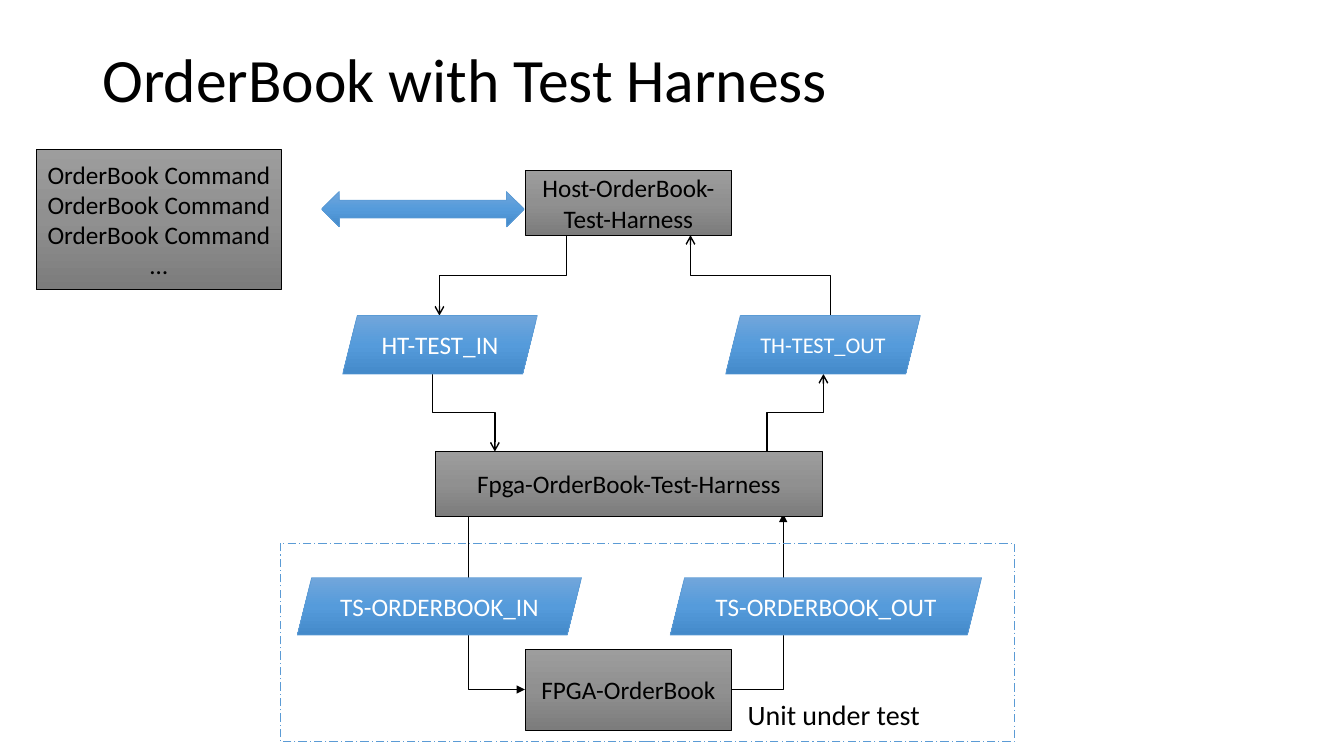
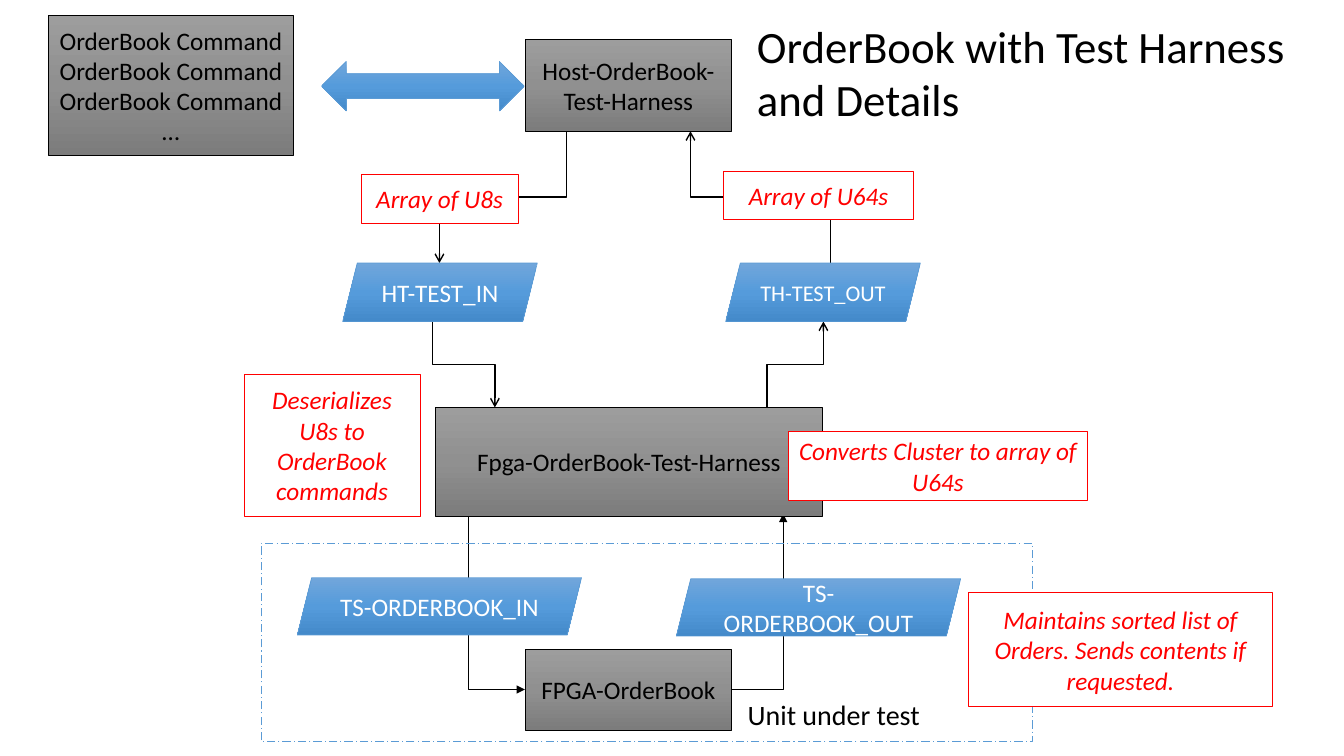
from copy import deepcopy

from lxml.etree import SubElement
from pptx import Presentation
from pptx.dml.color import RGBColor
from pptx.enum.dml import MSO_LINE
from pptx.enum.shapes import MSO_CONNECTOR, MSO_SHAPE
from pptx.enum.text import MSO_ANCHOR, MSO_AUTO_SIZE, PP_ALIGN
from pptx.oxml.ns import qn
from pptx.util import Pt

COLORS = {"black": "000000", "white": "FFFFFF", "blue": "5B9BD5", "red": "FF0000"}
GRADIENTS = {
    "gray": ("9D9D9D", "909090", "7C7C7C"),
    "blue": ("71A6DB", "559BDB", "448ACA"),
}
# Box styles: fill, line colour, text colour, italic
STYLES = {
    "module": ("gray", "black", "black", False),
    "queue": ("blue", "blue", "white", False),
    "note": ("white", "red", "red", True),
    "frame": (None, "blue", "black", False),
}
FONT = "Calibri"


def add_box(slide, preset, style, bounds, text="", size=18):
    fill_name, line_name, text_name, italic = STYLES[style]
    box = slide.shapes.add_shape(preset, *[Pt(v) for v in bounds])
    box.shadow.inherit = False
    box.line.color.rgb = RGBColor.from_string(COLORS[line_name])
    box.line.width = Pt(0.5)
    if fill_name in GRADIENTS:
        box.fill.gradient()
        box.fill.gradient_angle = 270
        stop_list = box._element.spPr.find(qn("a:gradFill")).find(qn("a:gsLst"))
        stop_list.append(deepcopy(stop_list[-1]))
        for stop, position, color in zip(box.fill.gradient_stops, (0, 0.5, 1), GRADIENTS[fill_name]):
            stop.position = position
            stop.color.rgb = RGBColor.from_string(color)
    elif fill_name:
        box.fill.solid()
        box.fill.fore_color.rgb = RGBColor.from_string(COLORS[fill_name])
    else:
        box.fill.background()
    if text:
        frame = box.text_frame
        frame.text = text
        frame.word_wrap = True
        frame.vertical_anchor = MSO_ANCHOR.MIDDLE
        for paragraph in frame.paragraphs:
            paragraph.alignment = PP_ALIGN.CENTER
            paragraph.font.name = FONT
            paragraph.font.size = Pt(size)
            paragraph.font.italic = italic
            paragraph.font.color.rgb = RGBColor.from_string(COLORS[text_name])
    return box


def add_flow(slide, start, end, preset, vertical_first, weight, head):
    (x1, y1), (x2, y2) = start, end
    ends = (x1, y1, x2, y2)
    if vertical_first:
        # Swap width and height around the centre, then turn a quarter
        mid_x, mid_y = (x1 + x2) / 2, (y1 + y2) / 2
        half_w = abs(y2 - y1) / 2 * (-1 if x2 > x1 else 1)
        half_h = abs(x2 - x1) / 2 * (-1 if y2 < y1 else 1)
        ends = (mid_x - half_w, mid_y - half_h, mid_x + half_w, mid_y + half_h)
    flow = slide.shapes.add_connector(MSO_CONNECTOR.ELBOW, *[Pt(v) for v in ends])
    flow.line.color.rgb = RGBColor.from_string(COLORS["black"])
    flow.line.width = Pt(weight)
    properties = flow._element.spPr
    if vertical_first:
        quarter = 90 if (x2 - x1) * (y2 - y1) < 0 else 270
        properties.find(qn("a:xfrm")).set("rot", str(quarter * 60000))
    properties.find(qn("a:prstGeom")).set("prst", preset)
    SubElement(properties.find(qn("a:ln")), qn("a:tailEnd"), type=head)
    SubElement(properties, qn("a:effectLst"))


# What differs between the two slides
VARIANTS = [
    {
        "title": "OrderBook with Test Harness",
        "title_bounds": (66, 18, 828, 68.4), "title_size": 44,
        "title_anchor": MSO_ANCHOR.BOTTOM, "title_spacing": 0.9, "title_wrap": True,
        "commands": (26, 106.6), "host": (121.8, 46.2), "exchange": (136.8, 25.2),
        "test_top": 225.4, "harness_top": 322.6,
        "out_queue": (478.8, 412.6, 222.4, 41), "unit": (200.2, 524.2),
        "notes": [],
    },
    {
        "title": "OrderBook with Test Harness\nand Details",
        "title_bounds": (533.5, 9.4, 395.3, 85), "title_size": 32,
        "title_anchor": MSO_ANCHOR.TOP, "title_spacing": 1, "title_wrap": False,
        "commands": (34.6, 10.8), "host": (28.2, 65.6), "exchange": (43.9, 35.3),
        "test_top": 187.9, "harness_top": 291,
        "out_queue": (483.2, 413.4, 203, 41), "unit": (186.5, 550.8),
        "notes": [
            ((257.8, 124.6, 112.4, 34.6), "Array of U8s"),
            ((517, 122.4, 135.4, 34.6), "Array of U64s"),
            ((174.2, 267.2, 126, 101.4), "Deserializes U8s to OrderBook commands"),
            ((563, 308.2, 214, 49), "Converts Cluster to array of U64s"),
            ((692, 423.4, 216.7, 81.4),
             "Maintains sorted list of\nOrders. Sends contents if requested."),
        ],
    },
]
TEST_HEIGHT = 41.8
HARNESS_BOTTOM = 368.6
ORDERBOOK_MIDDLE = 492.5

deck = Presentation()
deck.slide_width, deck.slide_height = Pt(960), Pt(540)

for variant in VARIANTS:
    slide = deck.slides.add_slide(deck.slide_layouts[5])

    # Title
    heading = slide.shapes.title
    heading.left, heading.top, heading.width, heading.height = [Pt(v) for v in variant["title_bounds"]]
    heading.text_frame.text = variant["title"]
    heading.text_frame.auto_size = MSO_AUTO_SIZE.NONE
    heading.text_frame.word_wrap = variant["title_wrap"]
    heading.text_frame.vertical_anchor = variant["title_anchor"]
    for paragraph in heading.text_frame.paragraphs:
        paragraph.alignment = PP_ALIGN.LEFT
        paragraph.line_spacing = variant["title_spacing"]
        paragraph.space_before = Pt(0)
        paragraph.font.name = FONT
        paragraph.font.size = Pt(variant["title_size"])
        paragraph.font.color.rgb = RGBColor.from_string(COLORS["black"])

    # Flows between host, queues and harness
    host_top, host_height = variant["host"]
    host_bottom = host_top + host_height
    test_top, harness_top = variant["test_top"], variant["harness_top"]
    test_bottom = test_top + TEST_HEIGHT
    for start, end in [
        ((404.6, host_bottom), (313.9, test_top)),
        ((309, test_bottom), (353.5, harness_top)),
        ((548, harness_top), (588.2, test_bottom)),
        ((593.3, test_top), (493.2, host_bottom)),
    ]:
        add_flow(slide, start, end, "bentConnector3", True, 1, "arrow")

    # Flows between harness and order book
    for start, end, vertical_first in [
        ((334.8, HARNESS_BOTTOM), (375, ORDERBOOK_MIDDLE), True),
        ((522.7, ORDERBOOK_MIDDLE), (559.4, HARNESS_BOTTOM - 1.5), False),
    ]:
        add_flow(slide, start, end, "bentConnector2", vertical_first, 0.5, "triangle")

    # Unit under test
    unit_left, unit_width = variant["unit"]
    unit = add_box(slide, MSO_SHAPE.RECTANGLE, "frame", (unit_left, 388, unit_width, 141.8))
    unit.line.width = Pt(0.75)
    unit.line.dash_style = MSO_LINE.LONG_DASH_DOT
    unit_label = slide.shapes.add_textbox(Pt(527), Pt(494.6), Pt(139), Pt(31.6))
    unit_label.text_frame.text = "Unit under test"
    label_font = unit_label.text_frame.paragraphs[0].runs[0].font
    label_font.name, label_font.size = FONT, Pt(20)
    label_font.color.rgb = RGBColor.from_string(COLORS["black"])

    # Modules
    commands = "\n".join(["OrderBook Command"] * 3 + ["…"])
    for bounds, text in [
        ((*variant["commands"], 175, 100.2), commands),
        ((375, host_top, 147.7, host_height), "Host-OrderBook-Test-Harness"),
        ((311, harness_top, 276.5, HARNESS_BOTTOM - harness_top), "Fpga-OrderBook-Test-Harness"),
        ((375, 463.8, 147.7, 57.6), "FPGA-OrderBook"),
    ]:
        add_box(slide, MSO_SHAPE.RECTANGLE, "module", bounds, text)

    # Queues
    for bounds, text, size in [
        ((244.8, test_top, 139, TEST_HEIGHT), "HT-TEST_IN", 18),
        ((518.4, test_top, 139, TEST_HEIGHT), "TH-TEST_OUT", 16),
        ((212.4, 412.6, 203, 41), "TS-ORDERBOOK_IN", 18),
        (variant["out_queue"], "TS-ORDERBOOK_OUT", 18),
    ]:
        add_box(slide, MSO_SHAPE.PARALLELOGRAM, "queue", bounds, text, size)

    # Exchange of commands with the host
    exchange_top, exchange_height = variant["exchange"]
    add_box(slide, MSO_SHAPE.LEFT_RIGHT_ARROW, "queue", (229.7, exchange_top, 144.7, exchange_height))

    # Notes
    for bounds, text in variant["notes"]:
        add_box(slide, MSO_SHAPE.RECTANGLE, "note", bounds, text)

deck.save("out.pptx")
